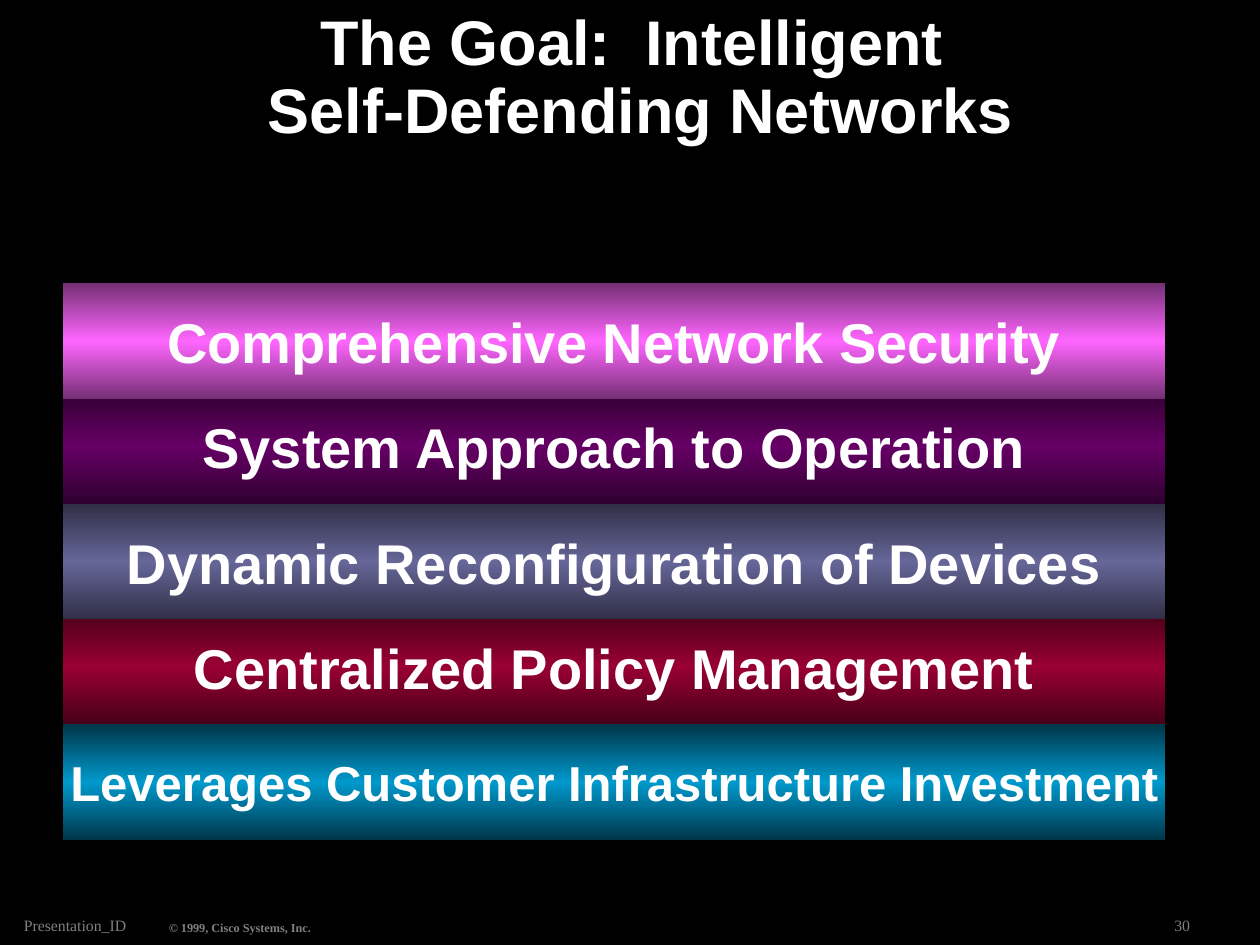
from copy import deepcopy
from typing import NamedTuple

from pptx import Presentation
from pptx.dml.color import RGBColor
from pptx.enum.shapes import MSO_SHAPE
from pptx.enum.text import MSO_ANCHOR, PP_ALIGN
from pptx.util import Inches, Pt

COLORS = {
    "background": "000000",
    "text": "FFFFFF",
    "footer": "808080",
    "pink": "FF66FF",
    "pink_edge": "752F75",
    "purple": "660066",
    "purple_edge": "2F002F",
    "slate": "666699",
    "slate_edge": "2F2F46",
    "red": "990033",
    "red_edge": "460017",
    "blue": "0099CC",
    "blue_edge": "003649",
}
CELL = Inches(1) // 12
BAND_LEFT, BAND_TOP, BAND_COLS, BAND_ROWS = 6, 27, 105, 11


class Band(NamedTuple):
    text: str
    color: str
    size: int = 32


class Footer(NamedTuple):
    text: str
    left: float
    top: float
    width: float
    height: float
    size: int = 9
    bold: bool = False


BANDS = [
    Band("Comprehensive Network Security", "pink"),
    Band("System Approach to Operation", "purple"),
    Band("Dynamic Reconfiguration of Devices", "slate"),
    Band("Centralized Policy Management", "red"),
    Band("Leverages Customer Infrastructure Investment", "blue", 28),
]
FOOTERS = [
    Footer("30", 9.23, 7.22, 0.7, 0.24),
    Footer("Presentation_ID", 0.1, 7.07, 1.1, 0.39),
    Footer("© 1999, Cisco Systems, Inc.", 1.25, 7.25, 1.36, 0.21, 7, True),
]


def rgb(name: str) -> RGBColor:
    return RGBColor.from_string(COLORS[name])


def add_run(p, text: str, size: int, color: str = "text",
            font: str = "Arial", bold: bool = True) -> None:
    r = p.add_run()
    r.text = text
    r.font.size = Pt(size)
    r.font.name = font
    r.font.bold = bold
    r.font.color.rgb = rgb(color)


def set_frame(tf, anchor, side: float, end: float, wrap: bool) -> None:
    tf.vertical_anchor = anchor
    tf.margin_left = tf.margin_right = Inches(side)
    tf.margin_top = tf.margin_bottom = Inches(end)
    tf.word_wrap = wrap


def fill_gradient(fill, color: str) -> None:
    fill.gradient()
    fill.gradient_angle = 270
    first = fill.gradient_stops[0]._gs
    first.addnext(deepcopy(first))
    names = (f"{color}_edge", color, f"{color}_edge")
    for stop, name, position in zip(fill.gradient_stops, names, (0, 0.5, 1)):
        stop.position = position
        stop.color.rgb = rgb(name)


def add_title(slide) -> None:
    title = slide.shapes.title
    title.left, title.top = Inches(0.67), 0
    title.width, title.height = Inches(8.83), Inches(1.25)
    set_frame(title.text_frame, MSO_ANCHOR.MIDDLE, 0.1, 0.05, True)
    p = title.text_frame.paragraphs[0]
    p.alignment = PP_ALIGN.CENTER
    p.line_spacing = 0.9
    add_run(p, "The Goal:  Intelligent ", 36)
    p.add_line_break()
    add_run(p, "Self-Defending Networks", 36)


def add_band(slide, index: int, band: Band) -> None:
    row = BAND_TOP + index * 21 // 2
    s = slide.shapes.add_shape(MSO_SHAPE.RECTANGLE, BAND_LEFT * CELL, row * CELL,
                               BAND_COLS * CELL, BAND_ROWS * CELL)
    s.shadow.inherit = False
    s.line.fill.background()
    fill_gradient(s.fill, band.color)
    set_frame(s.text_frame, MSO_ANCHOR.MIDDLE, 0.08, 0.04, False)
    p = s.text_frame.paragraphs[0]
    p.alignment = PP_ALIGN.CENTER
    add_run(p, band.text, band.size)


def add_footer(slide, footer: Footer) -> None:
    box = (footer.left, footer.top, footer.width, footer.height)
    s = slide.shapes.add_textbox(*map(Inches, box))
    set_frame(s.text_frame, MSO_ANCHOR.BOTTOM, 0.09, 0.04, False)
    add_run(s.text_frame.paragraphs[0], footer.text, footer.size,
            "footer", "Times New Roman", footer.bold)


def main() -> None:
    prs = Presentation()
    prs.slide_width, prs.slide_height = Inches(10), Inches(7.5)
    slide = prs.slides.add_slide(prs.slide_layouts[5])
    slide.background.fill.solid()
    slide.background.fill.fore_color.rgb = rgb("background")
    for footer in FOOTERS:
        add_footer(slide, footer)
    add_title(slide)
    for index, band in reversed(list(enumerate(BANDS))):
        add_band(slide, index, band)
    prs.save("out.pptx")


if __name__ == "__main__":
    main()
